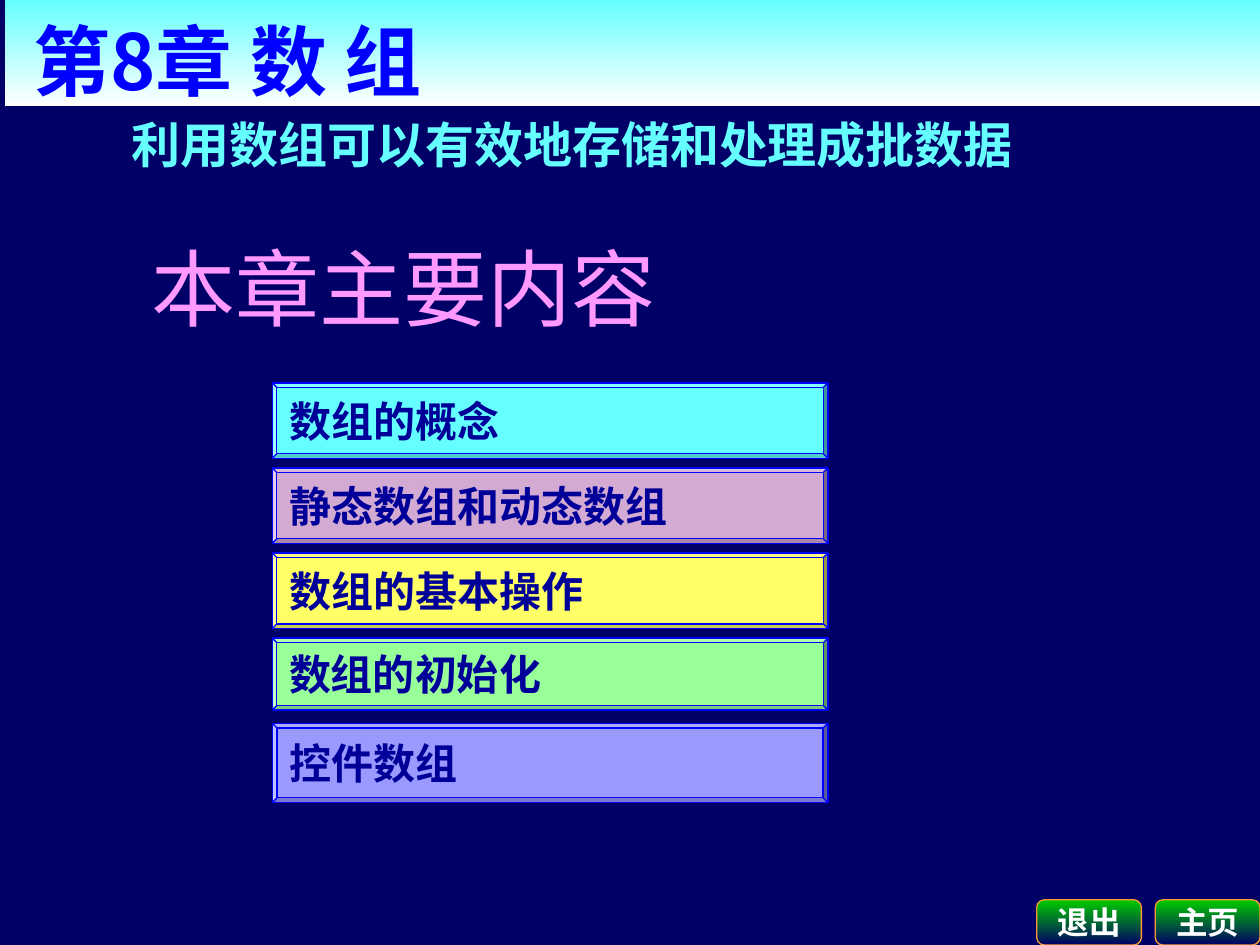
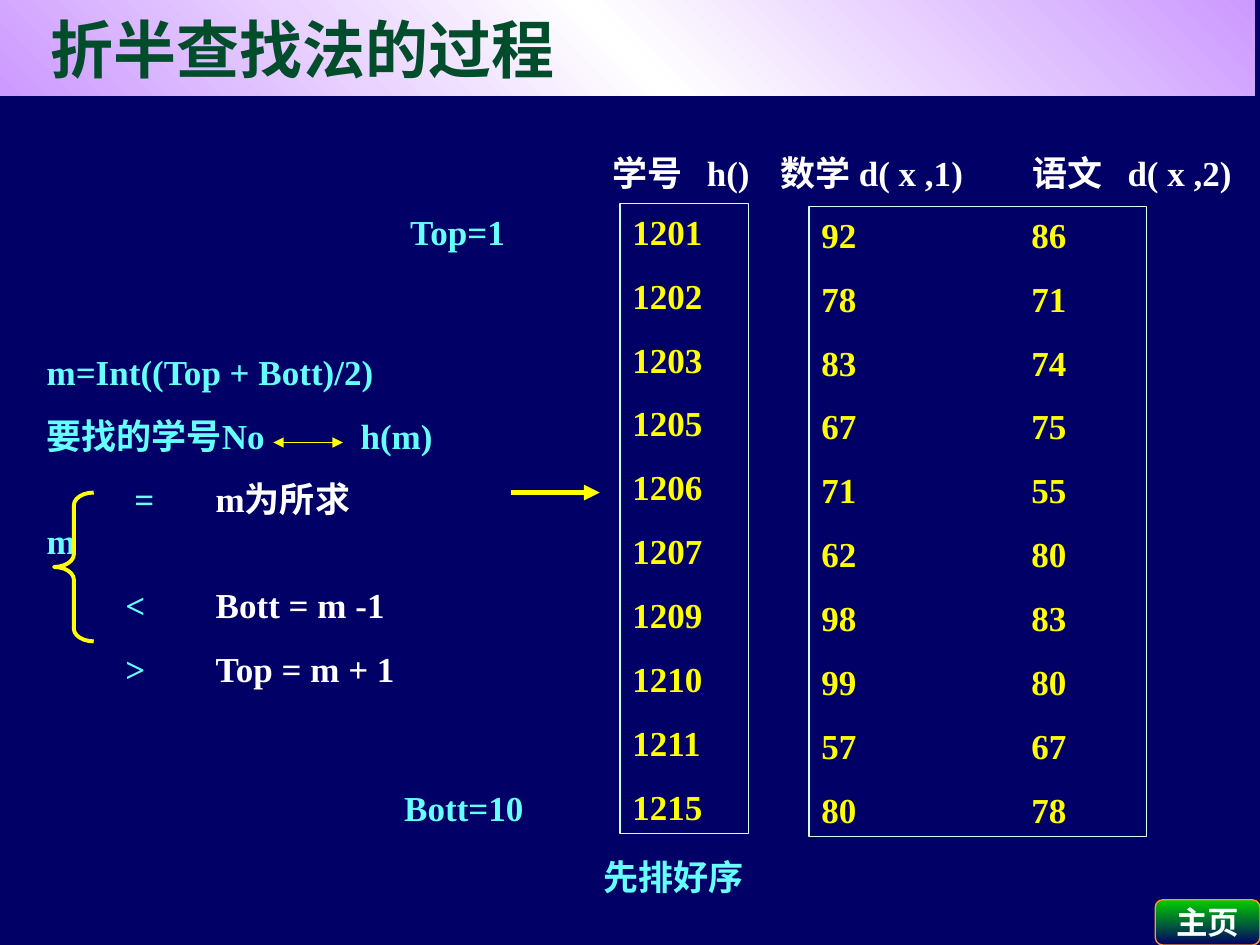
"""Build two slides on arrays: the chapter contents and the binary search process."""
import copy

import lxml.etree
import pptx
import pptx.dml.color
import pptx.enum.shapes
import pptx.enum.text
import pptx.oxml.ns
import pptx.util

Cm, Pt = pptx.util.Cm, pptx.util.Pt
RGB = pptx.dml.color.RGBColor
SHAPE = pptx.enum.shapes.MSO_SHAPE
ANCHOR = pptx.enum.text.MSO_ANCHOR
ALIGN = pptx.enum.text.PP_ALIGN
qn = pptx.oxml.ns.qn

NAVY = RGB(0x00, 0x00, 0x66)
INK = RGB(0x00, 0x00, 0x99)
BLUE = RGB(0x00, 0x00, 0xFF)
CYAN = RGB(0x66, 0xFF, 0xFF)
PALE_CYAN = RGB(0xCC, 0xFF, 0xFF)
WHITE = RGB(0xFF, 0xFF, 0xFF)
YELLOW = RGB(0xFF, 0xFF, 0x00)
PINK = RGB(0xFF, 0x99, 0xFF)
LILAC = RGB(0xCC, 0x99, 0xFF)
DARK_GREEN = RGB(0x00, 0x4C, 0x2B)
GREEN = RGB(0x00, 0xCC, 0x00)
ORANGE = RGB(0xFF, 0x99, 0x33)
MAUVE = RGB(0xD2, 0xAA, 0xD2)
LEMON = RGB(0xFF, 0xFF, 0x66)
MINT = RGB(0x99, 0xFF, 0x99)
PERIWINKLE = RGB(0x99, 0x99, 0xFF)

SERIF = "Times New Roman"
SANS = "Noto Sans CJK SC"
SANS_JP = "Noto Sans CJK JP"

CHAPTER_TITLE = [[("第8章", {"font": SANS_JP}), (" 数 组", {})]]
CHAPTER_AIM = "利用数组可以有效地存储和处理成批数据"
CONTENTS_HEADING = "本章主要内容"
TOPICS = [
    ("数组的概念", CYAN, 1.52),
    ("静态数组和动态数组", MAUVE, 1.52),
    ("数组的基本操作", LEMON, 1.52),
    ("数组的初始化", MINT, 1.45),
    ("控件数组", PERIWINKLE, 1.6),
]

SEARCH_TITLE = "折半查找法的过程"
RECORDS = [
    (1201, 92, 86), (1202, 78, 71), (1203, 83, 74), (1205, 67, 75),
    (1206, 71, 55), (1207, 62, 80), (1209, 98, 83), (1210, 99, 80),
    (1211, 57, 67), (1215, 80, 78),
]
LABELS = [
    ("学号\th()", (12.09, 2.92, 3.4), WHITE, [1.91]),
    ("数学 d( x ,1)\t语文\td( x ,2)", (15.49, 2.92, 9.8), WHITE, [5.08, 6.99]),
    ("先排好序", (11.91, 17.12, 3.4), CYAN, []),
    ("Top=1", (8.02, 4.11, 2.7), CYAN, []),
    ("Bott=10", (7.9, 15.72, 3.2), CYAN, []),
]
ON_WHITE = {"color": WHITE}
STEPS = [
    "m=Int((Top + Bott)/2)",
    "要找的学号No\th(m)",
    [("\t=\t", {}), ("m为所求", ON_WHITE), ("\n", {}), ("m", {})],
    [("\t<\t", {}), ("Bott = m -1", ON_WHITE)],
    [("\t>\t", {}), ("Top = m + 1", ON_WHITE)],
]
STEP_TABS = [[], [6.33], [1.77, 3.41], [1.59, 3.41], [1.59, 3.41]]
ROW_TEXT = {"line": 24, "before": 12.5}


def set_text(sp, text, size=20, color=WHITE, bold=True, font=SERIF, align=ALIGN.LEFT,
             anchor=ANCHOR.TOP, before=0, line=None, tabs=(), margins=(0.25, 0.13, 0.25, 0.13)):
    """Fill a shape; text is a string or a list of strings and lists of (text, format) runs."""
    tf = sp.text_frame
    tf.word_wrap = True
    tf.vertical_anchor = anchor
    tf.margin_left, tf.margin_top, tf.margin_right, tf.margin_bottom = map(Cm, margins)
    paragraphs = [text] if isinstance(text, str) else text
    for i, runs in enumerate(paragraphs):
        p = tf.add_paragraph() if i else tf.paragraphs[0]
        stops = tabs[i] if i < len(tabs) else []
        if stops:
            tab_list = lxml.etree.SubElement(p._p.get_or_add_pPr(), qn("a:tabLst"))
            for stop in stops:
                lxml.etree.SubElement(tab_list, qn("a:tab"), pos=str(int(Cm(stop))), algn="l")
        p.alignment = align
        p.space_before = Pt(before if i else 0)
        if line:
            p.line_spacing = Pt(line)
        for words, changes in [(runs, {})] if isinstance(runs, str) else runs:
            if words == "\n":
                p.add_line_break()
                continue
            r = p.add_run()
            r.text = words
            r.font.size, r.font.bold = Pt(size), bold
            r.font.color.rgb = changes.get("color", color)
            r.font.name = changes.get("font", font)
            east_asian = r.font.name if r.font.name != SERIF else SANS
            lxml.etree.SubElement(r._r.get_or_add_rPr(), qn("a:ea"), typeface=east_asian)


def add_box(s, kind, box, fill=None, line=None, width=0.75):
    sp = s.shapes.add_shape(kind, *map(Cm, box))
    sp.shadow.inherit = False
    if fill:
        sp.fill.solid()
        sp.fill.fore_color.rgb = fill
    else:
        sp.fill.background()
    if line:
        sp.line.color.rgb = line
        sp.line.width = Pt(width)
    else:
        sp.line.fill.background()
    return sp


def set_gradient(sp, colors, angle=270):
    sp.fill.gradient()
    stop_list = sp._element.spPr.find(".//" + qn("a:gsLst"))
    while len(stop_list) < len(colors):
        stop_list.append(copy.deepcopy(stop_list[0]))
    for i, (stop, color) in enumerate(zip(sp.fill.gradient_stops, colors)):
        stop.position = i / (len(colors) - 1)
        stop.color.rgb = color
    sp.fill.gradient_angle = angle


def add_label(s, text, box, **fmt):
    set_text(s.shapes.add_textbox(*map(Cm, box)), text, **fmt)


def add_button(s, text, left):
    sp = add_box(s, SHAPE.ROUNDED_RECTANGLE, (left, 18.14, 2.11, 0.91), line=ORANGE)
    set_gradient(sp, [GREEN, NAVY])
    set_text(sp, text, size=18, align=ALIGN.CENTER, anchor=ANCHOR.MIDDLE)


def add_title(s, text, box, colors, angle, **fmt):
    sp = add_box(s, SHAPE.RECTANGLE, box)
    set_gradient(sp, colors, angle)
    set_text(sp, text, **fmt)


def add_arrow(s, left, right, y, width, ends):
    line = s.shapes.add_connector(pptx.enum.shapes.MSO_CONNECTOR.STRAIGHT,
                                  Cm(left), Cm(y), Cm(right), Cm(y))
    line.line.color.rgb = YELLOW
    line.line.width = Pt(width)
    for end in ends:
        lxml.etree.SubElement(line.line._get_or_add_ln(), qn(end), type="triangle")
    lxml.etree.SubElement(line._element.spPr, qn("a:effectLst"))


def new_slide(prs):
    s = prs.slides.add_slide(prs.slide_layouts[6])
    s.background.fill.solid()
    s.background.fill.fore_color.rgb = NAVY
    add_button(s, "主页", 23.29)
    return s


def build_contents(prs):
    s = new_slide(prs)
    add_title(s, CHAPTER_TITLE, (0.1, 0, 25.3, 2.13), [CYAN, WHITE], 270, size=44, color=BLUE,
              font=SANS, line=52, anchor=ANCHOR.BOTTOM, margins=(0.57, 0, 0.25, 0))
    flush = (0, 0, 0, 0)
    add_label(s, CHAPTER_AIM, (2.66, 2.3, 20, 1.45), size=28, color=CYAN, margins=flush)
    add_label(s, CONTENTS_HEADING, (3.05, 4.77, 14, 2.45), size=48, color=PINK, bold=False,
              margins=flush)
    for i, (topic, color, height) in enumerate(TOPICS):
        sp = add_box(s, SHAPE.BEVEL, (5.49, 7.72 + 1.715 * i, 11.2, height), color, BLUE)
        sp.adjustments[0] = 0.06
        set_text(sp, topic, size=24, color=INK, anchor=ANCHOR.MIDDLE)
    add_button(s, "退出", 20.9)


def build_search(prs):
    s = new_slide(prs)
    add_title(s, SEARCH_TITLE, (-0.1, 0, 25.4, 1.93), [LILAC, WHITE, LILAC], 45, size=36,
              color=DARK_GREEN, anchor=ANCHOR.MIDDLE, margins=(1.12, 0.13, 0.25, 0.13))
    numbers = [str(number) for number, _, _ in RECORDS]
    marks = [f"{maths}\t{chinese}" for _, maths, chinese in RECORDS]
    for rows, box, stops in [(numbers, (12.5, 4.11, 2.59, 12.7), []),
                             (marks, (16.31, 4.17, 6.81, 12.7), [4.23])]:
        sp = add_box(s, SHAPE.RECTANGLE, box, line=PALE_CYAN)
        set_text(sp, rows, color=YELLOW, tabs=[stops] * len(rows), **ROW_TEXT)
    for text, place, color, stops in LABELS:
        add_label(s, text, (*place, 1.12), color=color, tabs=[stops], **ROW_TEXT)
    add_label(s, STEPS, (0.69, 6.93, 9.6, 7.11), color=CYAN, tabs=STEP_TABS, **ROW_TEXT)
    add_arrow(s, 10.31, 12.09, 9.93, 3, ["a:tailEnd"])
    add_arrow(s, 5.51, 6.91, 8.92, 0.75, ["a:headEnd", "a:tailEnd"])
    brace = add_box(s, SHAPE.LEFT_BRACE, (1.09, 9.93, 0.8, 3), line=YELLOW, width=2.25)
    brace.adjustments[0] = 0.32


def main():
    prs = pptx.Presentation()
    prs.slide_width, prs.slide_height = Cm(25.4), Cm(19.05)
    build_contents(prs)
    build_search(prs)
    prs.save("out.pptx")


if __name__ == "__main__":
    main()
